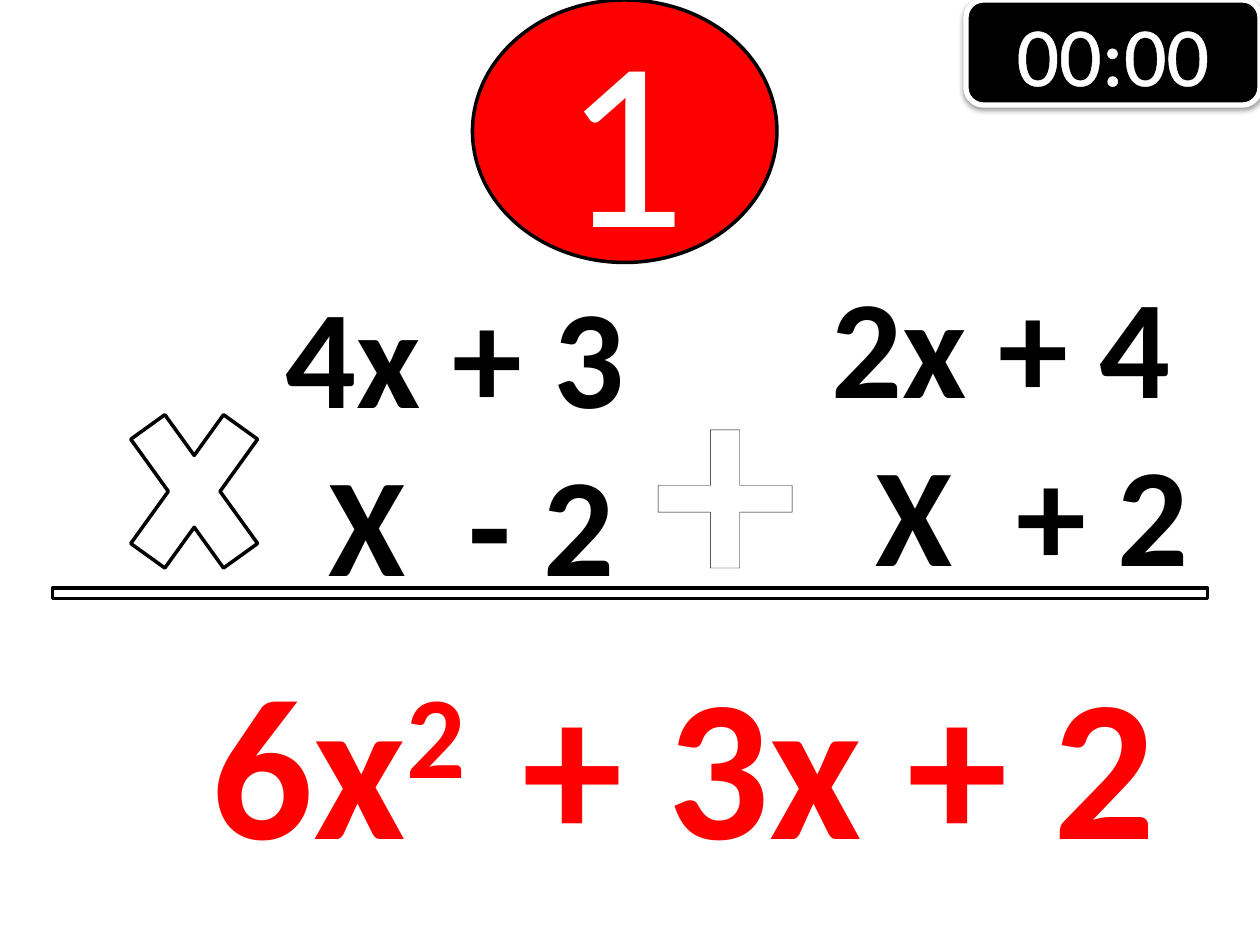
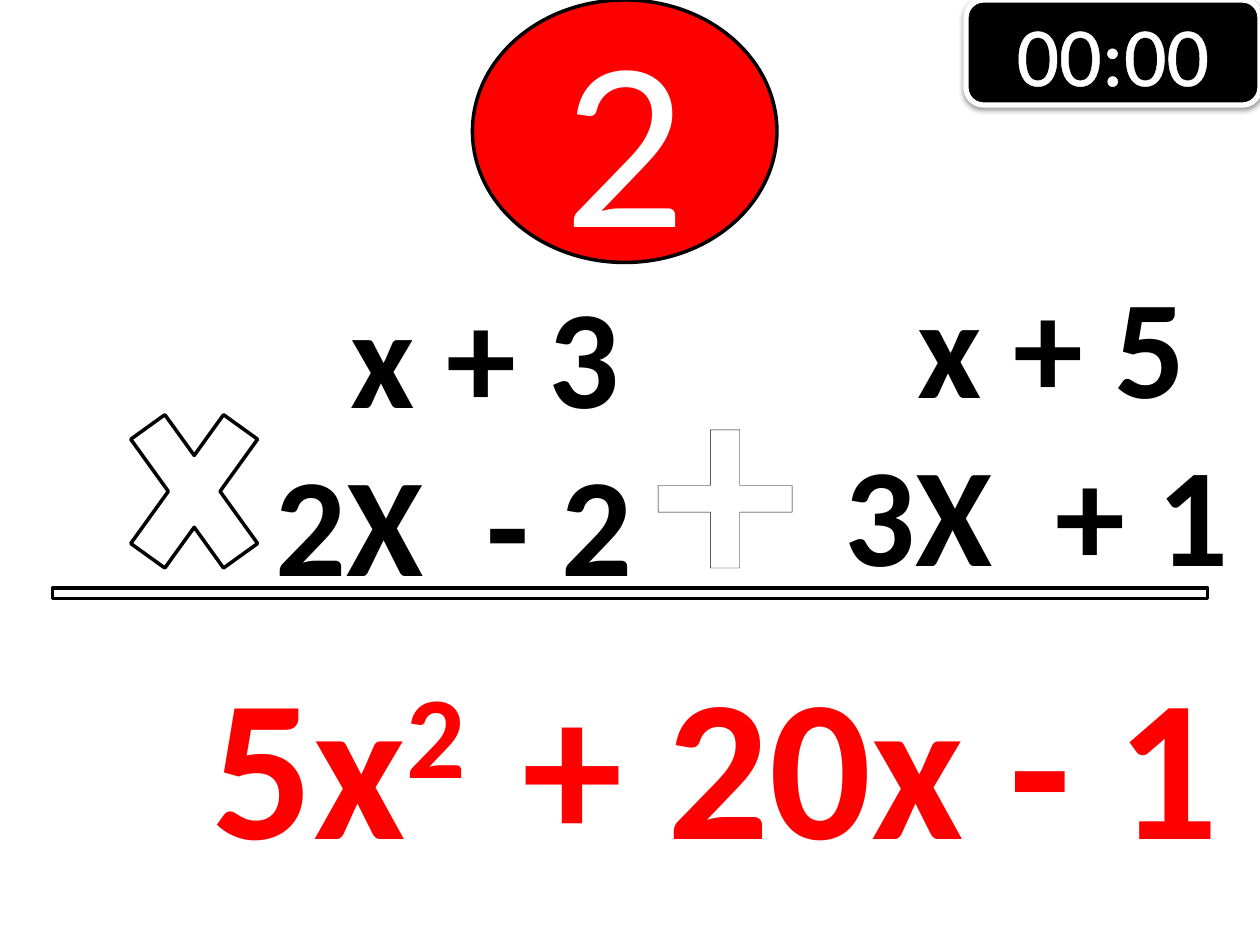
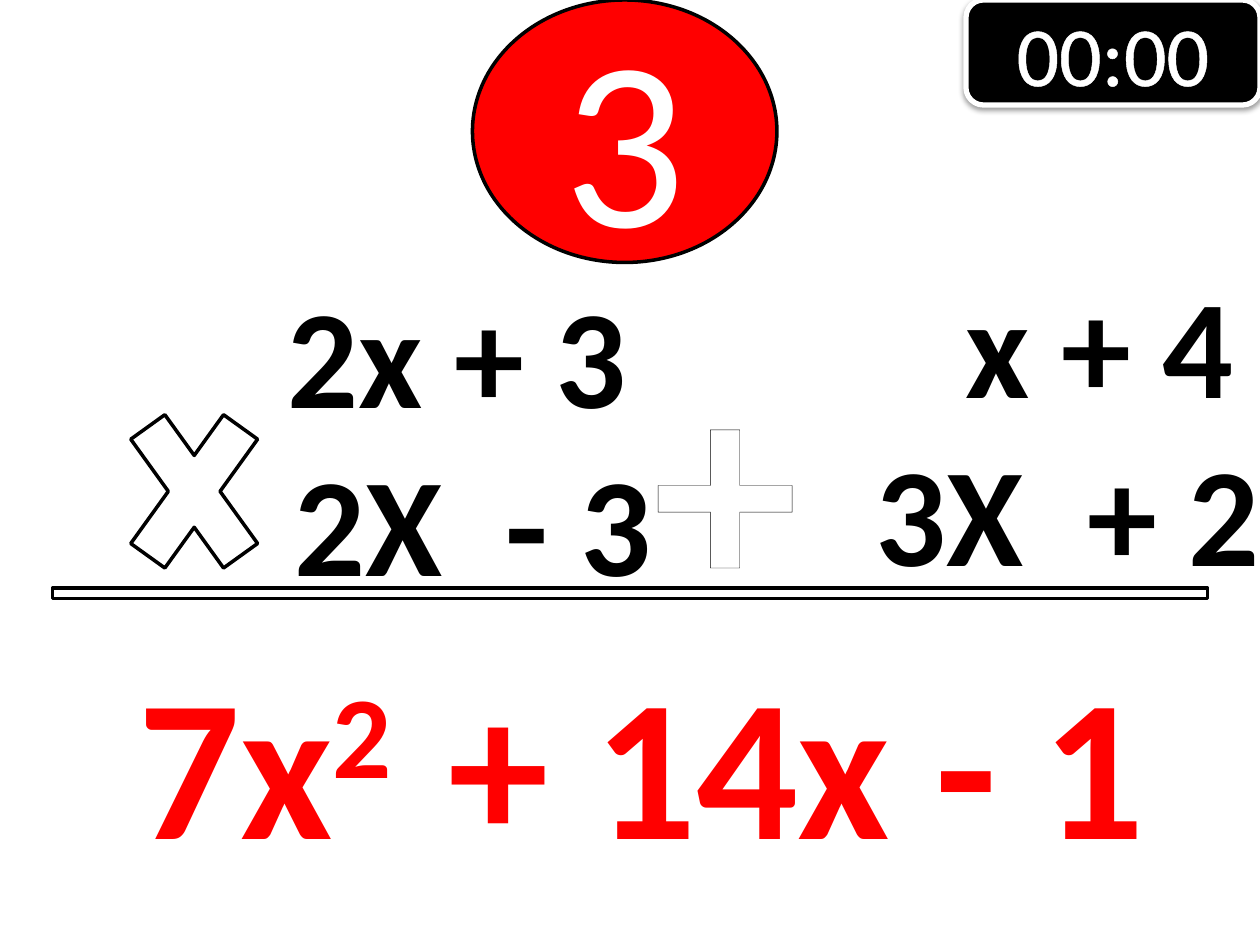
import pptx
import pptx.util
import pptx.dml.color
import pptx.enum.shapes
import pptx.enum.text
from dataclasses import dataclass
from lxml import etree

Pt, Inches = pptx.util.Pt, pptx.util.Inches
SHAPE = pptx.enum.shapes.MSO_SHAPE
ALIGN = pptx.enum.text.PP_ALIGN
ANCHOR = pptx.enum.text.MSO_ANCHOR
FIT = pptx.enum.text.MSO_AUTO_SIZE
NS = "http://schemas.openxmlformats.org/drawingml/2006/main"

# Content. Terms are (line, indent in inches); "|" marks a wide gap.
# Places are in grid units: 12 columns or rows to the inch.
ROUNDS = [
    dict(number="1",
         left=dict(col=26, cols=40.8, lines=[("4x + 3", 0), ("X|- 2", 0.34)]),
         right=dict(cols=38.6, lines=[("2x + 4", 0.17), ("X|+ 2", 0.52)]),
         answer=dict(col=19, cols=94.4, head="6x", tail="+ 3x + 2")),
    dict(number="2",
         left=dict(col=23, cols=43.4, lines=[("x + 3", 0.77), ("2X|- 2", 0.17)]),
         right=dict(cols=42.4, lines=[("x + 5", 0.85), ("3X|+ 1", 0.27)]),
         answer=dict(col=19, cols=100.6, head="5x", tail="+ 20x - 1")),
    dict(number="3",
         left=dict(col=26, cols=41.2, lines=[("2x + 3", 0.02), ("2X|- 3", 0.07)]),
         right=dict(cols=45.5, lines=[("x + 4", 1.23), ("3X|+ 2", 0.52)]),
         answer=dict(col=12, cols=100.6, head="7x", tail="+ 14x - 1")),
]
TIMER = "00:00"


@dataclass(frozen=True)
class Theme:
    """Colours, font and type sizes of the whole deck."""
    font: str = "Calibri"
    red: str = "FF0000"
    black: str = "000000"
    white: str = "FFFFFF"
    number: float = 138
    timer: float = 48
    term: float = 80
    plus: float = 166
    answer: float = 115
    edge: float = 2
    timer_edge: float = 3
    text_edge: float = 1.45


T = Theme()
UNIT = 1 / 12
SPACE = 0.226          # width of a bold space, in ems
SUPER_SPACE = 0.15     # width of a raised bold space, in ems


def rgb(value):
    """Return a colour object for a hex string."""
    return pptx.dml.color.RGBColor.from_string(value)


def place(col, row, cols, rows):
    """Turn grid units into left, top, width and height."""
    return [Inches(v * UNIT) for v in (col, row, cols, rows)]


def add_run(p, text, size, color, bold=False, edge=None, base=0, spacing=0):
    """Add a formatted run; edge is the colour of the letter outline."""
    r = p.add_run()
    r.text = text
    r.font.name, r.font.size, r.font.bold = T.font, Pt(size), bold
    r.font.color.rgb = rgb(color)
    rPr = r.font._element
    if base:
        rPr.set("baseline", str(base * 1000))
    if spacing:
        rPr.set("spc", str(round(spacing * 100)))
    if edge:
        rPr.insert(0, etree.fromstring(
            f'<a:ln xmlns:a="{NS}" w="{Pt(T.text_edge)}"><a:solidFill>'
            f'<a:srgbClr val="{edge}"/></a:solidFill></a:ln>'))


def add_figure(s, kind, at, fill, line, width=T.edge):
    """Add a filled, outlined preset shape without a shadow."""
    sp = s.shapes.add_shape(kind, *place(*at))
    sp.shadow.inherit = False
    sp.fill.solid()
    sp.fill.fore_color.rgb = rgb(fill)
    sp.line.color.rgb = rgb(line)
    sp.line.width = Pt(width)
    return sp


def add_label(sp, text, size, **fmt):
    """Centre one white line of text in a shape."""
    sp.text_frame.vertical_anchor = ANCHOR.MIDDLE
    p = sp.text_frame.paragraphs[0]
    p.alignment = ALIGN.CENTER
    add_run(p, text, size, T.white, **fmt)


def add_box(s, at):
    """Add a text box that grows with its text and return its frame."""
    tf = s.shapes.add_textbox(*place(*at)).text_frame
    tf.word_wrap = True
    tf.auto_size = FIT.SHAPE_TO_FIT_TEXT
    tf.margin_right = 0
    return tf


def add_shadow(sp):
    """Give a shape a soft shadow straight below it."""
    effects = sp._element.spPr.find(f"{{{NS}}}effectLst")
    effects.append(etree.fromstring(
        f'<a:outerShdw xmlns:a="{NS}" blurRad="{Pt(3.1)}" dist="{Pt(1.6)}" '
        f'dir="5400000" rotWithShape="0"><a:srgbClr val="{T.black}">'
        f'<a:alpha val="38000"/></a:srgbClr></a:outerShdw>'))


def add_terms(s, col, row, cols, lines):
    """Write a column of two expressions, each with its own indent."""
    tf = add_box(s, (col, row, cols, 33.5))
    fmt = dict(size=T.term, color=T.black, bold=True, edge=T.black)
    for i, (line, indent) in enumerate(lines):
        p = tf.add_paragraph() if i else tf.paragraphs[0]
        p.alignment = ALIGN.LEFT
        p._p.get_or_add_pPr().set("marL", str(Inches(indent)))
        head, gap, tail = line.partition("|")
        add_run(p, head, **fmt)
        if gap:
            add_run(p, " ", spacing=T.term * SPACE, **fmt)
            add_run(p, tail, **fmt)


def add_answer(s, col, cols, head, tail):
    """Write the resulting quadratic with its raised exponent."""
    tf = add_box(s, (col, 60, cols, 24.5))
    tf.vertical_anchor = ANCHOR.MIDDLE
    p = tf.paragraphs[0]
    fmt = dict(size=T.answer, color=T.red, bold=True, edge=T.red)
    add_run(p, head, **fmt)
    add_run(p, "2", base=30, **fmt)
    add_run(p, " ", base=30, spacing=T.answer * SUPER_SPACE, **fmt)
    add_run(p, tail, **fmt)


def add_round(prs, number, left, right, answer):
    """Build one exercise slide."""
    s = prs.slides.add_slide(prs.slide_layouts[6])
    badge = add_figure(s, SHAPE.OVAL, (45, 0, 29, 25), T.red, T.black)
    add_label(badge, number, T.number)
    timer = add_figure(s, SHAPE.ROUNDED_RECTANGLE, (92, 0, 28, 10),
                       T.black, T.white, T.timer_edge)
    add_shadow(timer)
    add_label(timer, TIMER, T.timer, edge=T.white)
    add_terms(s, row=25, **left)
    add_figure(s, SHAPE.RECTANGLE, (5, 56, 110, 1), T.white, T.black)
    add_figure(s, SHAPE.MATH_MULTIPLY, (10, 35, 17, 23.6), T.white, T.black)
    plus = add_box(s, (61, 28, 16, 34.7))
    plus.margin_right = plus.margin_left
    p = plus.paragraphs[0]
    p.alignment = ALIGN.CENTER
    add_run(p, "+", T.plus, T.white, bold=True, edge=T.black)
    add_terms(s, col=76, row=24, **right)
    add_answer(s, **answer)


prs = pptx.Presentation()
prs.slide_width, prs.slide_height = Inches(10), Inches(7.5)
for content in ROUNDS:
    add_round(prs, **content)
prs.save("out.pptx")
